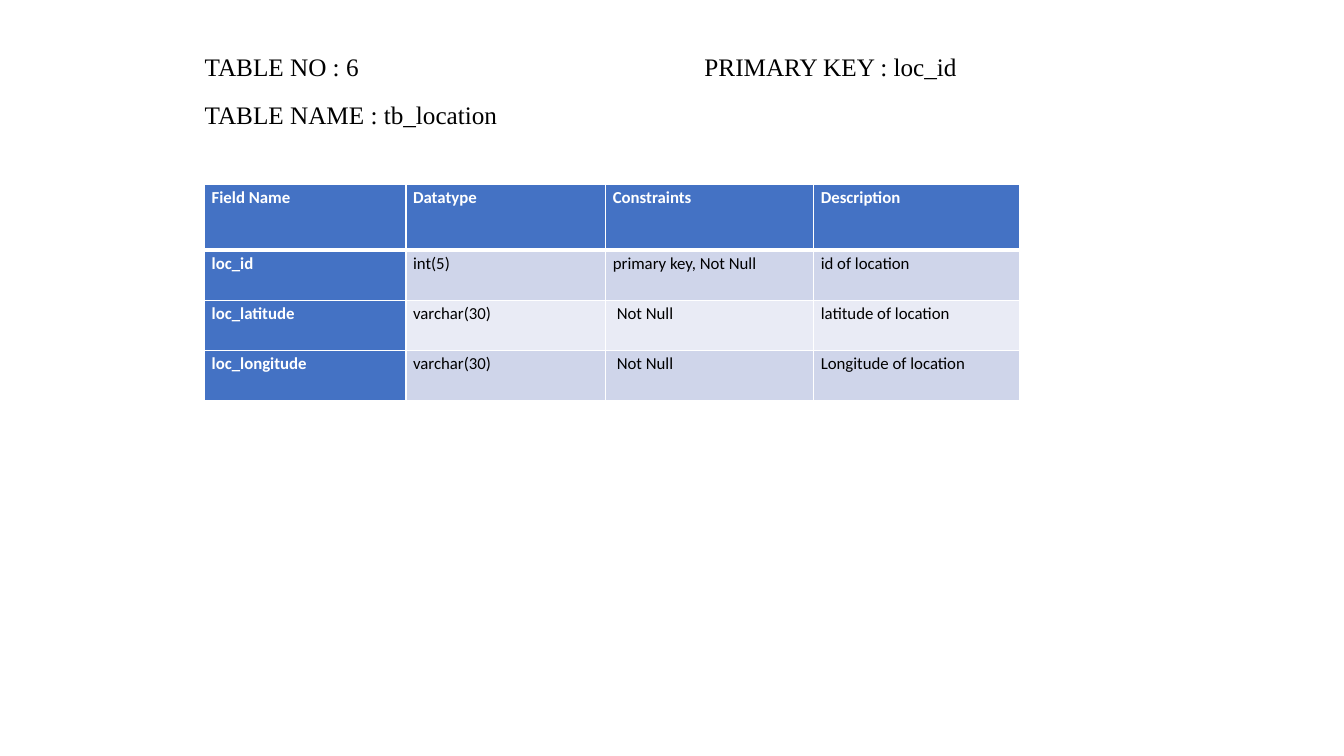
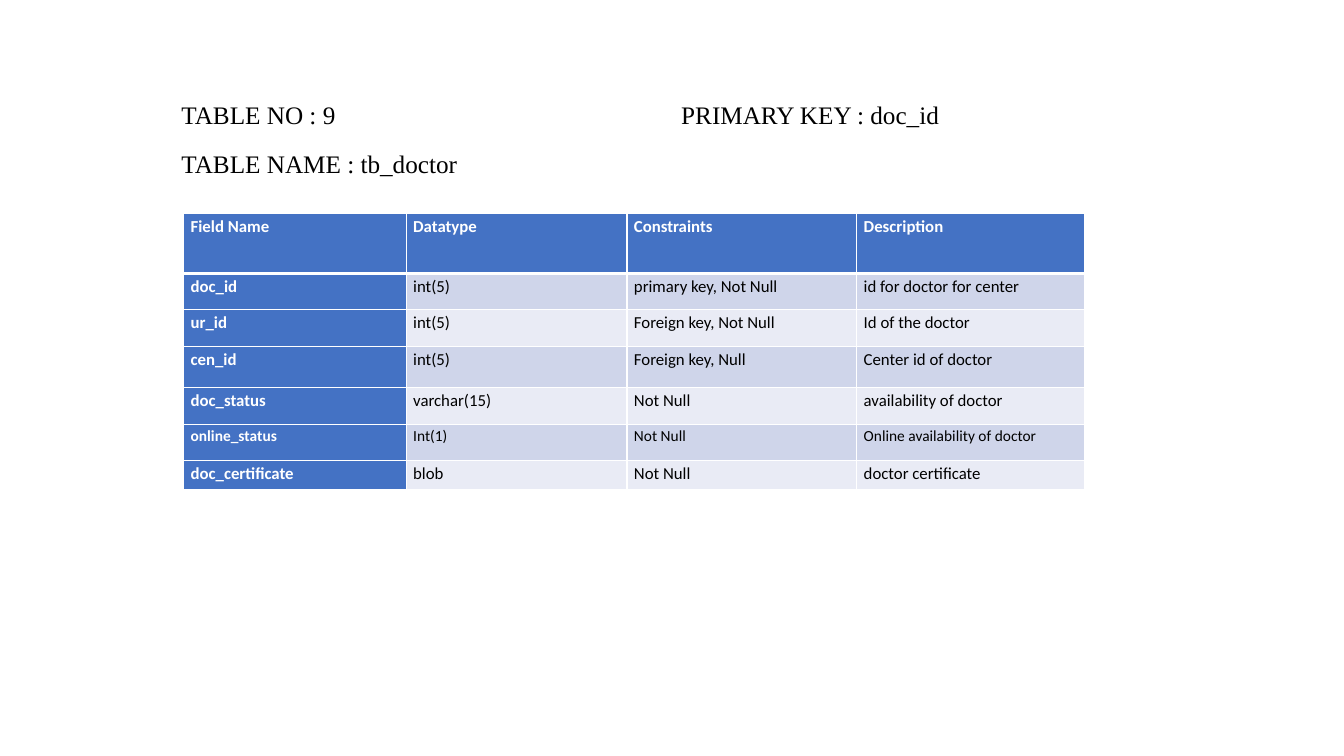
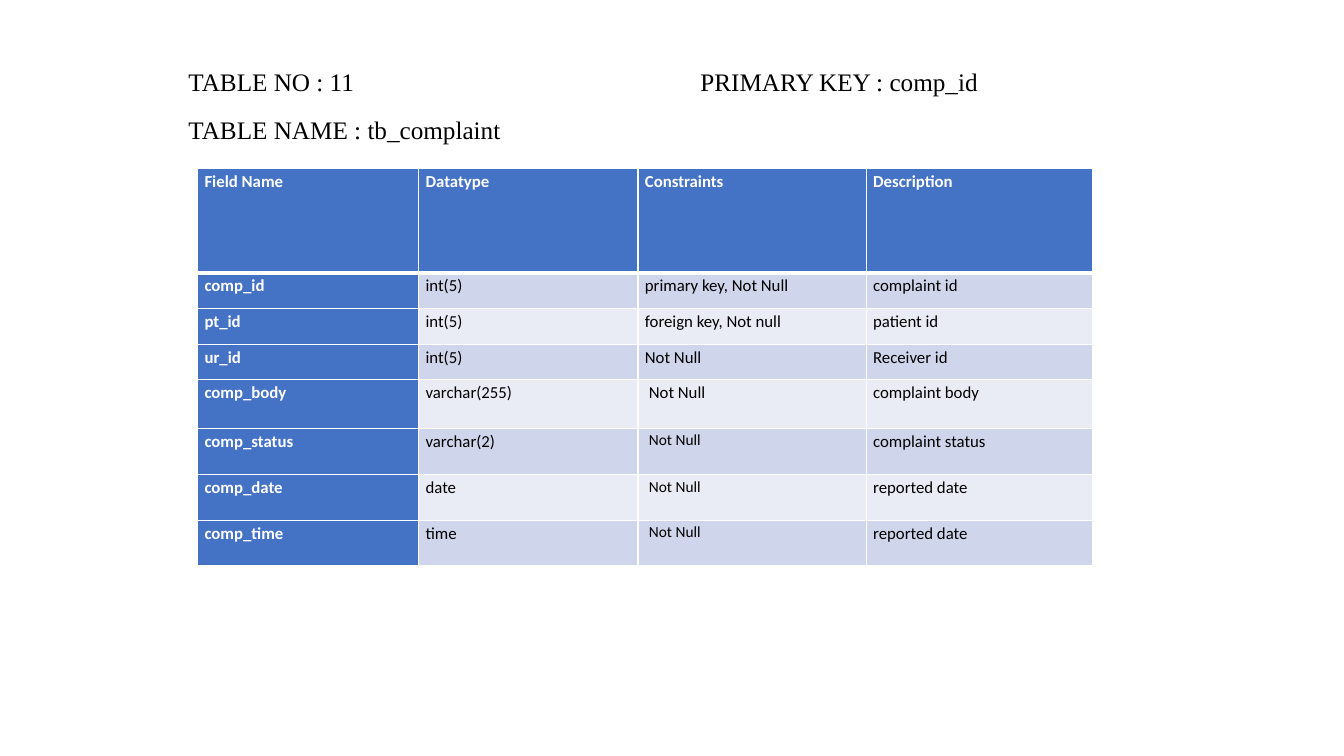
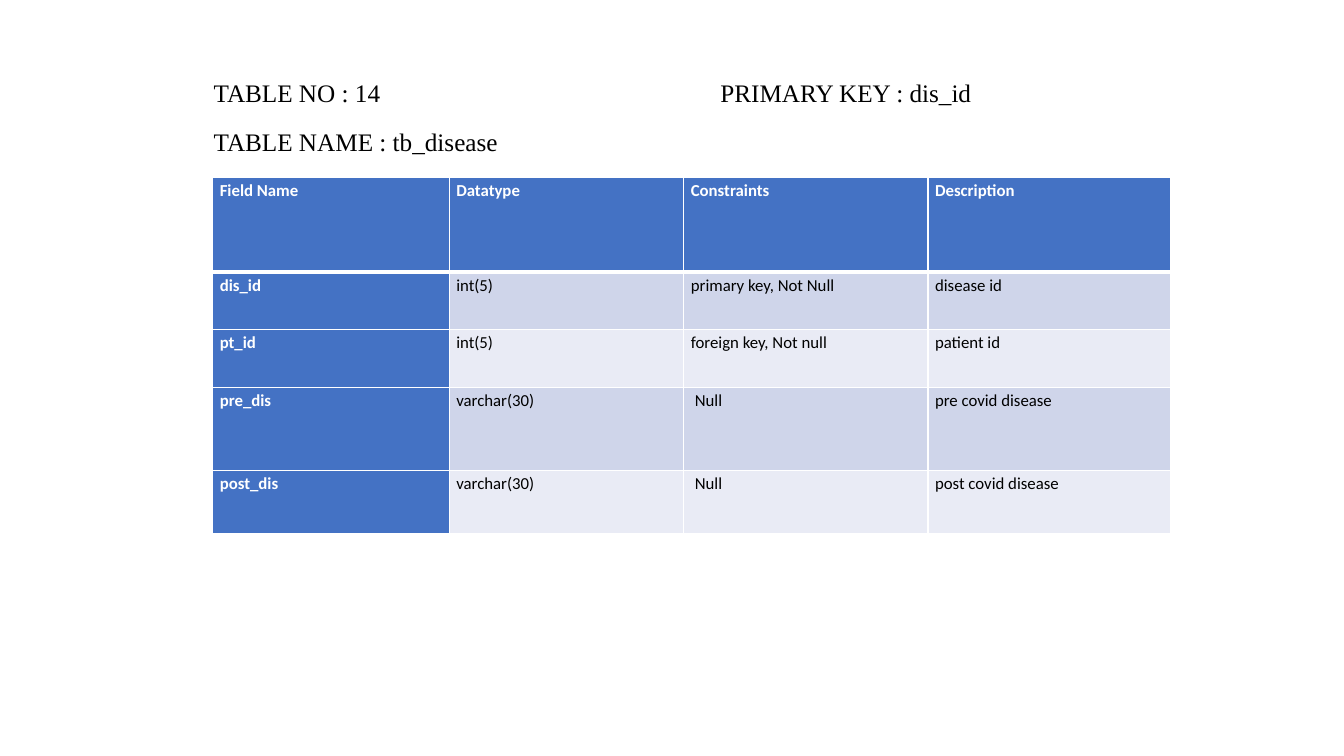
from lxml import etree
from pptx import Presentation
from pptx.dml.color import RGBColor
from pptx.enum import text
from pptx.oxml.ns import qn
from pptx.util import Pt

COLORS = {
    "text": "000000",
    "white": "FFFFFF",
    "head": "4472C4",
    "odd": "CFD5EA",
    "even": "E9EBF5",
}
TITLE_FONT, TABLE_FONT = "Times New Roman", "Calibri"
TITLE_H = 67.7
TITLE_SIZE, CELL_SIZE, SMALL_SIZE = 18, 12, 11
LINE_SPACING, SPACE_AFTER = 1.15, 10
CELL_MARGIN, INDENT = 5, 2.8
HEADER = ("Field Name", "Datatype", "Constraints", "Description")
SHARES = (0.247, 0.245, 0.255, 0.253)
CONSTRAINT = 2

SLIDES = [
    {
        "no": 6, "key": "loc_id", "name": "tb_location",
        "title": (139, 29.5, 671), "tab": 357,
        "table": (146.2, 131.8, 582.5),
        "heights": [47] + [35.7] * 3,
        "rows": [
            ("loc_id", "int(5)", "primary key, Not Null", "id of location"),
            ("loc_latitude", "varchar(30)", "Not Null", "latitude of location"),
            ("loc_longitude", "varchar(30)", "Not Null", "Longitude of location"),
        ],
        "indented": (2, 3),
        "small": (),
    },
    {
        "no": 9, "key": "doc_id", "name": "tb_doctor",
        "title": (122.4, 64.1, 592.6), "tab": 357,
        "table": (131.2, 152.8, 643.7),
        "heights": [42.5, 26.1, 26.1, 29.5, 26.1, 26.1, 20.7],
        "rows": [
            ("doc_id", "int(5)", "primary key, Not Null", "id for doctor for center"),
            ("ur_id", "int(5)", "Foreign key, Not Null", "Id of the doctor"),
            ("cen_id", "int(5)", "Foreign key, Null", "Center id of doctor"),
            ("doc_status", "varchar(15)", "Not Null", "availability of doctor"),
            ("online_status", "Int(1)", "Not Null", "Online availability of doctor"),
            ("doc_certificate", "blob", "Not Null", "doctor certificate"),
        ],
        "indented": (),
        "small": [(5, c) for c in range(4)],
    },
    {
        "no": 11, "key": "comp_id", "name": "tb_complaint",
        "title": (127.4, 40.3, 673.9), "tab": 365.7,
        "table": (141.1, 120.4, 639.4),
        "heights": [74.5, 25.6, 25.4, 25.4, 34.6, 33.3, 32.5, 32.5],
        "rows": [
            ("comp_id", "int(5)", "primary key, Not Null", "complaint id"),
            ("pt_id", "int(5)", "foreign key, Not null", "patient id"),
            ("ur_id", "int(5)", "Not Null", "Receiver id"),
            ("comp_body", "varchar(255)", "Not Null", "complaint body"),
            ("comp_status", "varchar(2)", "Not Null", "complaint status"),
            ("comp_date", "date", "Not Null", "reported date"),
            ("comp_time", "time", "Not Null", "reported date"),
        ],
        "indented": (4, 5, 6, 7),
        "small": [(r, CONSTRAINT) for r in (5, 6, 7)],
    },
    {
        "no": 14, "key": "dis_id", "name": "tb_disease",
        "title": (145.4, 48.2, 570.2), "tab": 362,
        "table": (152, 127, 684),
        "heights": [67.4, 41.3, 41.3, 59, 45.1],
        "rows": [
            ("dis_id", "int(5)", "primary key, Not Null", "disease id"),
            ("pt_id", "int(5)", "foreign key, Not null", "patient id"),
            ("pre_dis", "varchar(30)", "Null", "pre covid disease"),
            ("post_dis", "varchar(30)", "Null", "post covid disease"),
        ],
        "indented": (3, 4),
        "small": (),
    },
]


def rgb(name):
    return RGBColor.from_string(COLORS[name])


def style_paragraph(p, font, size, color, bold=False):
    p.alignment = text.PP_ALIGN.LEFT
    p.line_spacing = LINE_SPACING
    p.space_before = Pt(0)
    p.space_after = Pt(SPACE_AFTER)
    for r in p.runs:
        r.font.name = font
        r.font.size = Pt(size)
        r.font.bold = bold
        r.font.color.rgb = rgb(color)


def add_title(s, data):
    sp = s.shapes.title
    left, top, width = data["title"]
    sp.left, sp.top, sp.width, sp.height = Pt(left), Pt(top), Pt(width), Pt(TITLE_H)
    tf = sp.text_frame
    tf.text = (f"TABLE NO : {data['no']}\tPRIMARY KEY : {data['key']}\n"
               f"TABLE NAME : {data['name']}")
    tf.word_wrap = True
    tf.auto_size = text.MSO_AUTO_SIZE.SHAPE_TO_FIT_TEXT
    tf.vertical_anchor = text.MSO_ANCHOR.TOP
    tabs = etree.SubElement(tf.paragraphs[0]._p.get_or_add_pPr(), qn("a:tabLst"))
    etree.SubElement(tabs, qn("a:tab"), pos=str(Pt(data["tab"])), algn="l")
    for p in tf.paragraphs:
        style_paragraph(p, TITLE_FONT, TITLE_SIZE, "text")


def set_borders(cell, row):
    widths = {"lnL": 1, "lnR": 1, "lnT": 3 if row == 1 else 1, "lnB": 3 if row == 0 else 1}
    tcPr = cell._tc.get_or_add_tcPr()
    for tag, width in widths.items():
        ln = etree.SubElement(tcPr, qn(f"a:{tag}"), w=str(Pt(width)))
        fill = etree.SubElement(ln, qn("a:solidFill"))
        etree.SubElement(fill, qn("a:srgbClr"), val=COLORS["white"])


def add_field_table(s, data):
    left, top, width = data["table"]
    heights = data["heights"]
    rows = [HEADER] + data["rows"]
    table = s.shapes.add_table(len(rows), len(HEADER), Pt(left), Pt(top),
                               Pt(width), Pt(sum(heights))).table
    table.first_col = True
    for col, share in zip(table.columns, SHARES):
        col.width = Pt(width * share)
    for r, (values, height) in enumerate(zip(rows, heights)):
        table.rows[r].height = Pt(height)
        for c, value in enumerate(values):
            cell = table.cell(r, c)
            is_head = r == 0 or c == 0
            indent = INDENT if c == CONSTRAINT and r in data["indented"] else 0
            cell.margin_left, cell.margin_right = Pt(CELL_MARGIN + indent), Pt(CELL_MARGIN)
            cell.margin_top = cell.margin_bottom = Pt(0)
            set_borders(cell, r)
            cell.fill.solid()
            cell.fill.fore_color.rgb = rgb("head" if is_head else "odd" if r % 2 else "even")
            cell.text_frame.text = value
            size = SMALL_SIZE if (r, c) in data["small"] else CELL_SIZE
            style_paragraph(cell.text_frame.paragraphs[0], TABLE_FONT, size,
                            "white" if is_head else "text", is_head)


def main():
    prs = Presentation()
    prs.slide_width, prs.slide_height = Pt(960), Pt(540)
    for data in SLIDES:
        s = prs.slides.add_slide(prs.slide_layouts.get_by_name("Title Only"))
        add_title(s, data)
        add_field_table(s, data)
    prs.save("out.pptx")


if __name__ == "__main__":
    main()
